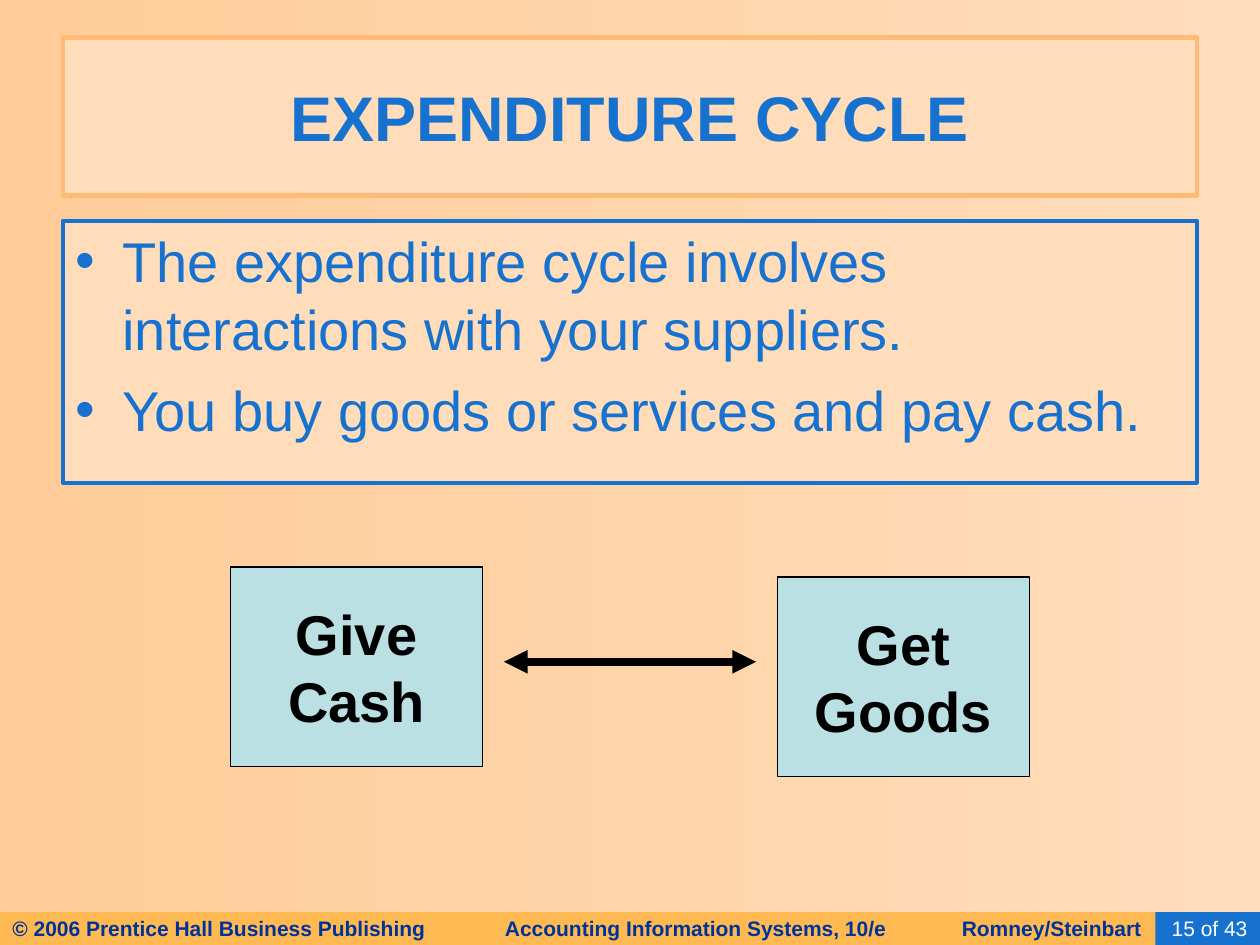
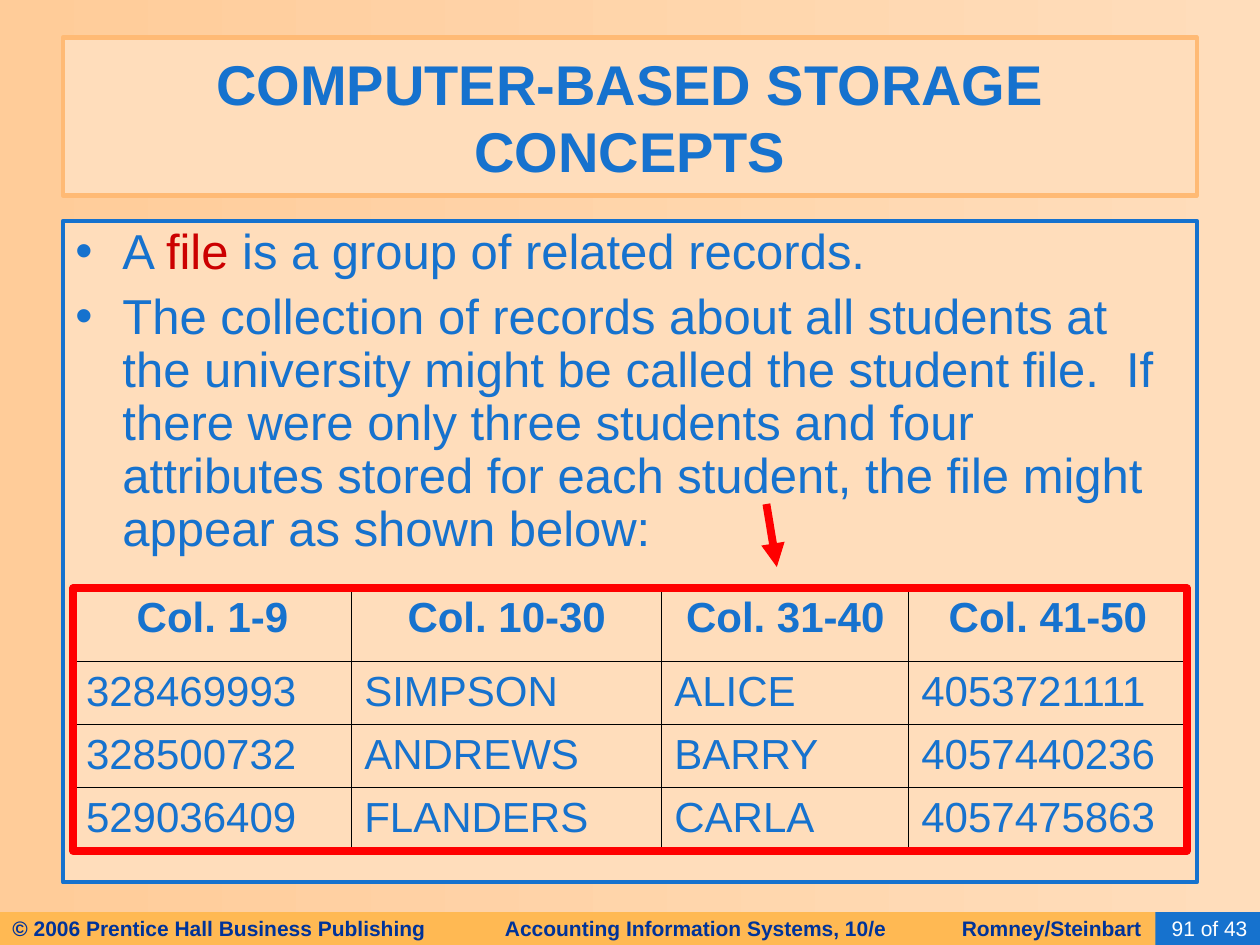
import pptx
import pptx.util
import pptx.dml.color
import pptx.enum.shapes
import pptx.enum.text
import pptx.oxml
import pptx.oxml.ns
from lxml import etree

Cm = pptx.util.Cm
Pt = pptx.util.Pt
RGB = pptx.dml.color.RGBColor
ALIGN = pptx.enum.text.PP_ALIGN
ANCHOR = pptx.enum.text.MSO_ANCHOR

BLUE = RGB(0x16, 0x72, 0xCE)
NAVY = RGB(0x00, 0x33, 0x99)
PEACH = RGB(0xFF, 0xDD, 0xBB)
DEEP_PEACH = RGB(0xFF, 0xCC, 0x99)
ORANGE = RGB(0xFF, 0xBA, 0x75)
FOOTER_ORANGE = RGB(0xFF, 0xB9, 0x53)
PALE_TEAL = RGB(0xBB, 0xE0, 0xE3)
DARK_RED = RGB(0xCC, 0x00, 0x00)
RED = RGB(0xFF, 0x00, 0x00)
BLACK = RGB(0x00, 0x00, 0x00)
WHITE = RGB(0xFF, 0xFF, 0xFF)

FOOTER = "\t".join([
    "© 2006 Prentice Hall Business Publishing",
    "Accounting Information Systems, 10/e",
    "Romney/Steinbart",
])
FOOTER_TABS = (9.93, 19.14)

CYCLE = {
    "title": "EXPENDITURE CYCLE",
    "title_size": 36,
    "page": "15 of 43",
    "body_height": 5.28,
    "body_format": {"size": 32, "space": 8, "spacing": 1.0},
    "points": [
        [("The expenditure cycle involves interactions with your suppliers.", BLUE)],
        [("You buy goods or services and pay cash.", BLUE)],
    ],
}
EXCHANGE = [
    (["Give", "Cash"], 4.65, 11.43),
    (["Get", "Goods"], 15.67, 11.63),
]
STORAGE = {
    "title": "COMPUTER-BASED STORAGE CONCEPTS",
    "title_size": 32,
    "page": "91 of 43",
    "body_height": 13.34,
    "body_format": {"size": 28, "space": 7, "spacing": 0.9},
    "points": [
        [("A ", BLUE), ("file", DARK_RED), (" is a group of related records.", BLUE)],
        [("The collection of records about all students at the university might be "
          "called the student file.  If there were only three students and four "
          "attributes stored for each student, the file might appear as shown below:",
          BLUE)],
    ],
}
STUDENT_FILE = [
    ("Col. 1-9", "Col. 10-30", "Col. 31-40", "Col. 41-50"),
    ("328469993", "SIMPSON", "ALICE", "4053721111"),
    ("328500732", "ANDREWS", "BARRY", "4057440236"),
    ("529036409", "FLANDERS", "CARLA", "4057475863"),
]
FILE_LEFT, FILE_TOP = 1.48, 11.86
FILE_WIDTHS = (5.61, 6.25, 4.98, 5.61)
FILE_HEIGHTS = (1.48, 1.27, 1.27, 1.27)


def apply(target, values):
    for name, value in values.items():
        setattr(target, name, value)


def font_format(size, bold=False):
    return {"name": "Arial", "size": Pt(size), "bold": bold}


def write(paragraph, pieces, size, bold=False, align=ALIGN.LEFT):
    paragraph.alignment = align
    for words, color in pieces:
        run = paragraph.add_run()
        run.text = words
        apply(run.font, font_format(size, bold))
        run.font.color.rgb = color


def add_box(slide, place, fill=None, line=None, width=0, anchor=ANCHOR.MIDDLE, wrap=True):
    box = slide.shapes.add_shape(
        pptx.enum.shapes.MSO_SHAPE.RECTANGLE, *[Cm(length) for length in place])
    box.shadow.inherit = False
    if fill is None:
        box.fill.background()
    else:
        box.fill.solid()
        box.fill.fore_color.rgb = fill
    if line is None:
        box.line.fill.background()
    else:
        box.line.color.rgb = line
        box.line.width = Pt(width)
    apply(box.text_frame, {"word_wrap": wrap, "vertical_anchor": anchor})
    return box


def paragraphs(frame, count):
    return [frame.paragraphs[0]] + [frame.add_paragraph() for _ in range(count - 1)]


def add_child(parent, tag, **attributes):
    return etree.SubElement(parent, pptx.oxml.ns.qn(tag), attributes)


def add_bullet(paragraph):
    properties = paragraph._p.get_or_add_pPr()
    properties.set("marL", str(Cm(0.95)))
    properties.set("indent", str(-Cm(0.95)))
    add_child(add_child(properties, "a:buClr"), "a:srgbClr", val=str(BLUE))
    add_child(properties, "a:buFont", typeface="Arial")
    add_child(properties, "a:buChar", char="•")


def add_arrow(slide, start, end, color, ends):
    arrow = slide.shapes.add_connector(
        pptx.enum.shapes.MSO_CONNECTOR.STRAIGHT,
        *[Cm(length) for length in (*start, *end)])
    arrow.line.color.rgb = color
    arrow.line.width = Pt(4.5)
    for end_tag in ends:
        add_child(arrow.line._get_or_add_ln(), end_tag, type="triangle")
    add_child(arrow._element.spPr, "a:effectLst")


def add_footer(slide, page):
    band = add_box(slide, (0, 18.39, 23.5, 0.66), FOOTER_ORANGE)
    credit = band.text_frame.paragraphs[0]
    stops = add_child(credit._p.get_or_add_pPr(), "a:tabLst")
    for stop in FOOTER_TABS:
        add_child(stops, "a:tab", pos=str(Cm(stop)), algn="l")
    write(credit, [(FOOTER, NAVY)], 12, True)
    number = add_box(slide, (23.29, 18.39, 2.11, 0.66), BLUE)
    write(number.text_frame.paragraphs[0], [(page, WHITE)], 12, align=ALIGN.RIGHT)


def add_content_slide(deck, content):
    slide = deck.slides.add_slide(deck.slide_layouts[6])
    backdrop = slide.background.fill
    backdrop.gradient()
    backdrop.gradient_angle = 180
    for stop, color, position in zip(backdrop.gradient_stops, (PEACH, DEEP_PEACH), (0, 1)):
        stop.color.rgb = color
        stop.position = position
    add_footer(slide, content["page"])

    body = add_box(slide, (1.27, 4.45, 22.86, content["body_height"]),
                   PEACH, BLUE, 2.25, ANCHOR.TOP)
    style = content["body_format"]
    points = content["points"]
    for index, paragraph in enumerate(paragraphs(body.text_frame, len(points))):
        add_bullet(paragraph)
        apply(paragraph, {"line_spacing": style["spacing"],
                          "space_before": Pt(style["space"] if index else 0)})
        write(paragraph, points[index], style["size"])

    title = add_box(slide, (1.27, 0.76, 22.86, 3.18), PEACH, ORANGE, 2.5)
    write(title.text_frame.paragraphs[0], [(content["title"], BLUE)],
          content["title_size"], True, ALIGN.CENTER)
    return slide


def set_borders(cell, outer_sides):
    properties = cell._tc.get_or_add_tcPr()
    for side in "LRTB":
        width = Pt(1.08 if side in outer_sides else 0.45)
        border = add_child(properties, "a:ln" + side, w=str(width))
        add_child(add_child(border, "a:solidFill"), "a:srgbClr", val=str(BLACK))


def add_student_file(slide):
    place = (FILE_LEFT, FILE_TOP, sum(FILE_WIDTHS), sum(FILE_HEIGHTS))
    last_row, last_column = len(FILE_HEIGHTS) - 1, len(FILE_WIDTHS) - 1
    records = slide.shapes.add_table(
        last_row + 1, last_column + 1, *[Cm(length) for length in place]).table
    apply(records, {"first_row": False, "horz_banding": False})
    for column, width in zip(records.columns, FILE_WIDTHS):
        column.width = Cm(width)
    for row, height in zip(records.rows, FILE_HEIGHTS):
        row.height = Cm(height)
    for r, record in enumerate(STUDENT_FILE):
        for c, value in enumerate(record):
            cell = records.cell(r, c)
            edges = {"L": c == 0, "R": c == last_column, "T": r == 0, "B": r == last_row}
            set_borders(cell, [side for side, outer in edges.items() if outer])
            cell.fill.background()
            write(cell.text_frame.paragraphs[0], [(value, BLUE)], 24, r == 0,
                  ALIGN.LEFT if r else ALIGN.CENTER)
    add_box(slide, place, line=RED, width=4.5)


def main():
    deck = pptx.Presentation()
    apply(deck, {"slide_width": Cm(25.4), "slide_height": Cm(19.05)})

    cycle = add_content_slide(deck, CYCLE)
    for words, left, top in EXCHANGE:
        side = add_box(cycle, (left, top, 5.08, 4.02), PALE_TEAL, BLACK, 0.75, wrap=False)
        for paragraph, word in zip(paragraphs(side.text_frame, len(words)), words):
            write(paragraph, [(word, BLACK)], 32, True, ALIGN.CENTER)
    add_arrow(cycle, (15.24, 13.34), (10.16, 13.34), BLACK, ("a:headEnd", "a:tailEnd"))

    storage = add_content_slide(deck, STORAGE)
    add_student_file(storage)
    add_arrow(storage, (15.45, 10.16), (15.66, 11.43), RED, ("a:tailEnd",))

    deck.save("out.pptx")


if __name__ == "__main__":
    main()
